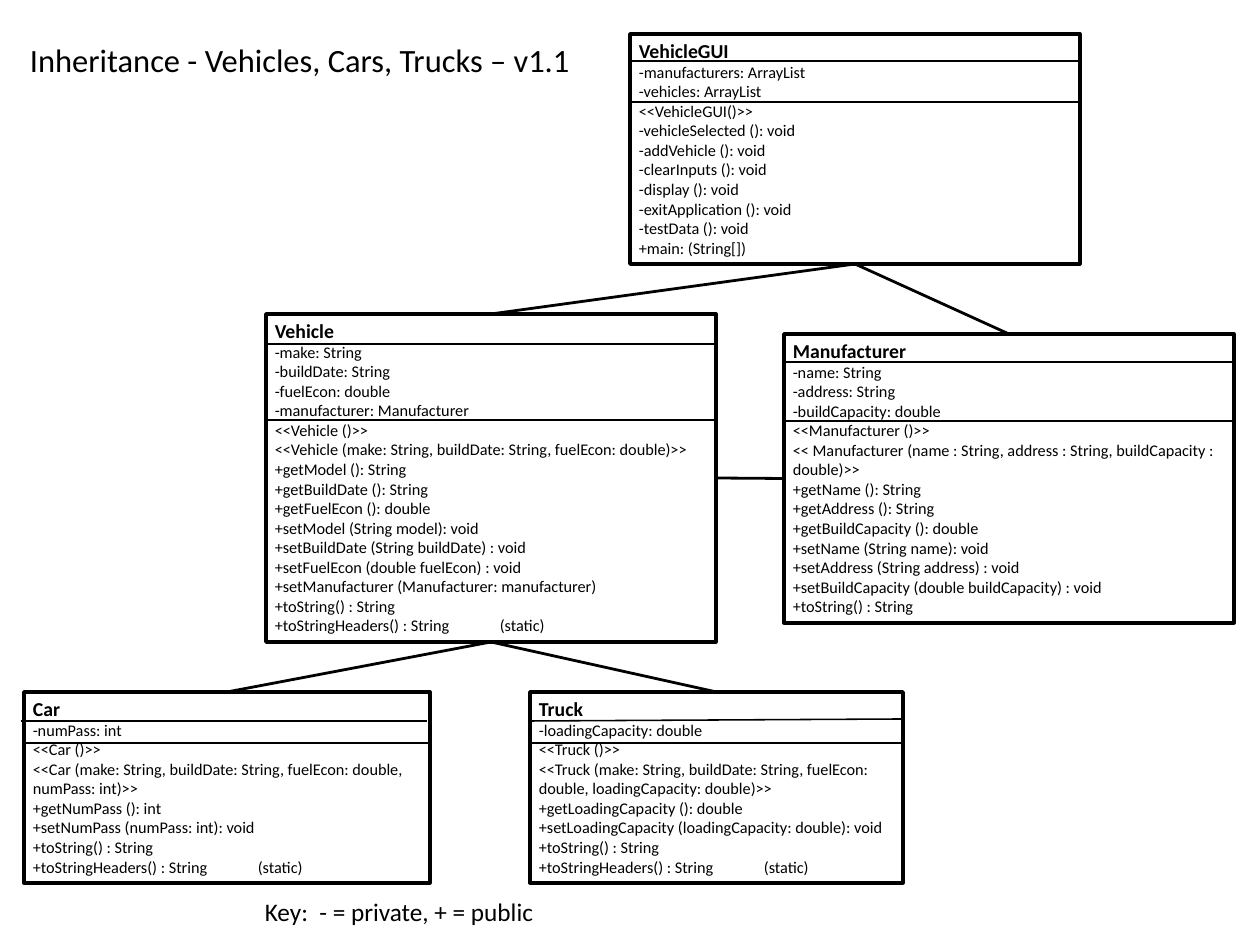
import pptx
import pptx.util
import pptx.dml.color
import pptx.enum.shapes
import pptx.enum.text
import lxml.etree

PX = 914400 // 90
FACE, INK = "Calibri", "000000"
HEAD, BODY = 15.8, 13

# text, box, size
LABELS = [
    ("Inheritance - Vehicles, Cars, Trucks – v1.1", (21, 36, 563, 49), 26),
    ("Key:  - = private, + = public", (256, 892, 290, 40), 20.2),
]

# name: box, rules (shift, left y, right y), members
CLASSES = {
    "Vehicle": ((266, 314, 450, 328), [(0, 344, 344), (0, 420, 420)], [
        "-make: String",
        "-buildDate: String",
        "-fuelEcon: double",
        "-manufacturer: Manufacturer",
        "<<Vehicle ()>>",
        "<<Vehicle (make: String, buildDate: String, fuelEcon: double)>>",
        "+getModel (): String",
        "+getBuildDate (): String",
        "+getFuelEcon (): double",
        "+setModel (String model): void",
        "+setBuildDate (String buildDate) : void",
        "+setFuelEcon (double fuelEcon) : void",
        "+setManufacturer (Manufacturer: manufacturer)",
        "+toString() : String",
        "+toStringHeaders() : String\t\t(static)",
    ]),
    "Car": ((24, 692, 406, 191), [(-3, 721, 721), (0, 743, 743)], [
        "-numPass: int",
        "<<Car ()>>",
        "<<Car (make: String, buildDate: String, fuelEcon: double, \tnumPass: int)>>",
        "+getNumPass (): int",
        "+setNumPass (numPass: int): void",
        "+toString() : String",
        "+toStringHeaders() : String\t\t(static)",
    ]),
    "Truck": ((530, 692, 373, 191), [(0, 721, 719), (0, 743, 743)], [
        "-loadingCapacity: double",
        "<<Truck ()>>",
        "<<Truck (make: String, buildDate: String, fuelEcon: \tdouble, loadingCapacity: double)>>",
        "+getLoadingCapacity (): double",
        "+setLoadingCapacity (loadingCapacity: double): void",
        "+toString() : String",
        "+toStringHeaders() : String\t\t(static)",
    ]),
    "VehicleGUI": ((630, 34, 450, 230), [(0, 61, 61), (0, 102, 102)], [
        "-manufacturers: ArrayList",
        "-vehicles: ArrayList",
        "<<VehicleGUI()>>",
        "-vehicleSelected (): void",
        "-addVehicle (): void",
        "-clearInputs (): void",
        "-display (): void",
        "-exitApplication (): void",
        "-testData (): void",
        "+main: (String[])",
    ]),
    "Manufacturer": ((784, 334, 450, 289), [(0, 362, 362), (0, 421, 421)], [
        "-name: String",
        "-address: String",
        "-buildCapacity: double",
        "<<Manufacturer ()>>",
        "<< Manufacturer (name : String, address : String, buildCapacity : double)>>",
        "+getName (): String",
        "+getAddress (): String",
        "+getBuildCapacity (): double",
        "+setName (String name): void",
        "+setAddress (String address) : void",
        "+setBuildCapacity (double buildCapacity) : void",
        "+toString() : String",
    ]),
}

# connection sites of a rectangle
TOP, LEFT, BOTTOM, RIGHT = range(4)
LINKS = [
    ("Vehicle", BOTTOM, "Truck", TOP),
    ("Vehicle", BOTTOM, "Car", TOP),
    ("Vehicle", RIGHT, "Manufacturer", LEFT),
    ("VehicleGUI", BOTTOM, "Vehicle", TOP),
    ("VehicleGUI", BOTTOM, "Manufacturer", TOP),
]
TABS = (180, 225)


def scale(*sizes):
    """Turn pixels into EMU."""
    return [size * PX for size in sizes]


def color(code):
    """Make a colour from a hex string."""
    return pptx.dml.color.RGBColor.from_string(code)


def style(para, size, bold=False):
    """Set the font of a paragraph and align it left."""
    para.alignment = pptx.enum.text.PP_ALIGN.LEFT
    font = para.font
    font.name, font.size, font.bold = FACE, pptx.util.Pt(size), bold
    font.color.rgb = color(INK)


def stroke(line, width):
    """Set the colour and width of a line."""
    line.color.rgb = color(INK)
    line.width = pptx.util.Pt(width)


def add_tabs(para):
    """Give a paragraph its tab stops."""
    tag = pptx.oxml.ns.qn
    stops = lxml.etree.Element(tag("a:tabLst"))
    for stop in TABS:
        lxml.etree.SubElement(stops, tag("a:tab"), pos=str(stop * PX), algn="l")
    para._p.get_or_add_pPr().insert(0, stops)


def add_line(shapes, ends, width):
    """Draw a straight connector without a shadow."""
    kind = pptx.enum.shapes.MSO_CONNECTOR.STRAIGHT
    line = shapes.add_connector(kind, *scale(*ends))
    stroke(line.line, width)
    lxml.etree.SubElement(line._element.spPr, pptx.oxml.ns.qn("a:effectLst"))
    return line


def add_label(shapes, text, box, size):
    """Add one line of free text."""
    frame = shapes.add_textbox(*scale(*box)).text_frame
    frame.word_wrap = False
    frame.text = text
    style(frame.paragraphs[0], size)


def add_class(shapes, name, box, rules, members):
    """Draw a class box with its text and dividing rules."""
    rect = shapes.add_shape(pptx.enum.shapes.MSO_SHAPE.RECTANGLE, *scale(*box))
    rect.shadow.inherit = False
    rect.fill.background()
    stroke(rect.line, 2.75)
    frame = rect.text_frame
    frame.word_wrap = True
    frame.vertical_anchor = pptx.enum.text.MSO_ANCHOR.TOP
    head = frame.paragraphs[0]
    head.add_run().text = name
    style(head, HEAD, True)
    for member in members:
        para = frame.add_paragraph()
        para.add_run().text = member
        style(para, BODY)
        if "\t\t" in member:
            add_tabs(para)
    for shift, start, end in rules:
        left = box[0] + shift
        add_line(shapes, (left, start, left + box[2], end), 1.25)
    return rect


def main():
    """Build the class diagram."""
    deck = pptx.Presentation()
    deck.slide_width, deck.slide_height = scale(1260, 945)
    shapes = deck.slides.add_slide(deck.slide_layouts[6]).shapes
    for label in LABELS:
        add_label(shapes, *label)
    rects = {name: add_class(shapes, name, *parts)
             for name, parts in CLASSES.items()}
    for start, exit_site, end, entry in LINKS:
        link = add_line(shapes, (0, 0, 0, 0), 2.25)
        link.begin_connect(rects[start], exit_site)
        link.end_connect(rects[end], entry)
    deck.save("out.pptx")


main()
